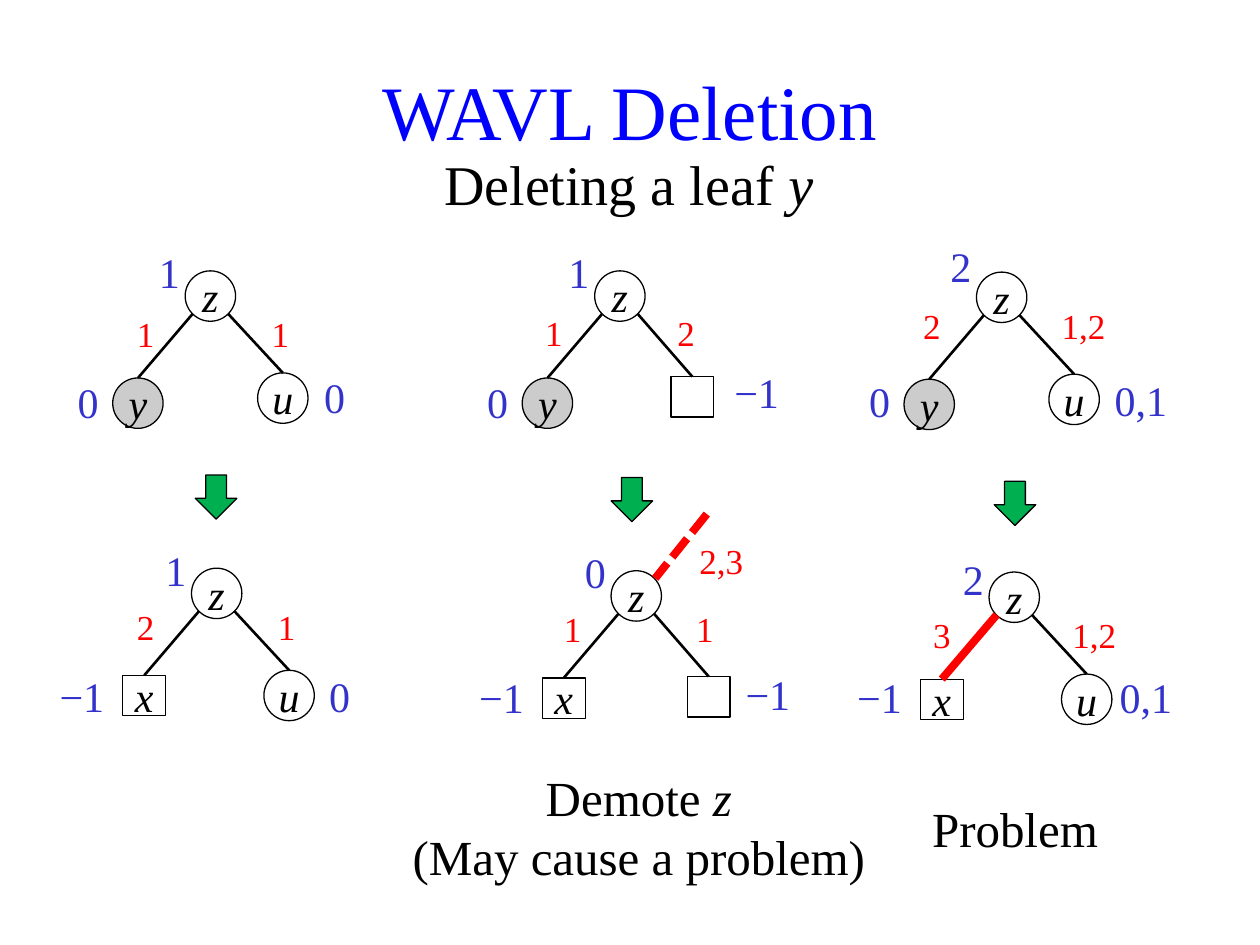
from dataclasses import dataclass

from lxml import etree
from pptx import Presentation
from pptx import util as u
from pptx.dml.color import RGBColor
from pptx.enum import dml, shapes, text
from pptx.oxml.ns import qn

FONT = "Times New Roman"
COLORS = {"title": "0000FF", "ink": "000000", "rank": "3333CC",
          "weight": "FF0000", "deleted": "CCCCCC", "arrow": "00B050"}
COLUMNS, ROWS = 100, 75
CIRCLE, SQUARE = (4, 4), (3.4, 3.2)

# Leaf name: drop below the root's centre, size, fill
LEAVES = {"y": (8.5, CIRCLE, "deleted"), "u": (8.1, CIRCLE, None),
          "x": (8.1, SQUARE, None), "": (8.0, SQUARE, None)}


@dataclass
class Tree:
    """A root z with two leaves; each pair is (left, right).

    Spreads, drops and the rise place the labels, seen from the root's centre.
    """
    root: tuple
    rank: str
    leaves: tuple
    ranks: tuple
    weights: tuple
    weight_spread: tuple
    rank_spread: tuple
    rank_drops: tuple
    rank_rise: float = 4.4
    weight_drop: float = 0.6
    rank_height: float = 6.1
    broken: bool = False


TREES = [
    Tree((16.7, 23.5), "1", ("y", "u"), ("0", "0"), ("1", "1"),
         (5.15, 5.55), (9.7, 9.85), (5.9, 5.5), weight_drop=0.8),
    Tree((49.2, 23.5), "1", ("y", ""), ("0", "−1"), ("1", "2"),
         (5.25, 5.25), (9.7, 10.85), (5.9, 5.1), weight_drop=0.7),
    Tree((79.5, 23.6), "2", ("y", "u"), ("0", "0,1"), ("2", "1,2"),
         (5.55, 6.5), (9.7, 11.05), (5.7, 5.6), rank_rise=5, weight_drop=0.1),
    Tree((17.2, 47.1), "1", ("x", "u"), ("−1", "0"), ("2", "1"),
         (5.65, 5.55), (10.7, 9.75), (5.6, 5.6), weight_drop=0.5,
         rank_height=5),
    Tree((50.5, 47.3), "0", ("x", ""), ("−1", "−1"), ("1", "1"),
         (5.05, 5.45), (10.7, 10.45), (5.5, 5.3), weight_drop=0.4,
         rank_height=5),
    Tree((80.5, 47.4), "2", ("x", "u"), ("−1", "0,1"), ("3", "1,2"),
         (5.75, 6.35), (10.7, 10.45), (5.4, 5.4), rank_rise=4,
         weight_drop=0.8, rank_height=5, broken=True),
]
ARROWS = [(17.15, 39.45), (50.15, 39.65), (80.55, 39.95)]


def assign(target, values):
    for name, value in values.items():
        setattr(target, name, value)


def color(name):
    return RGBColor.from_string(COLORS[name])


class Page:
    def __init__(self, deck):
        self.slide = deck.slides.add_slide(deck.slide_layouts[5])
        self.column = deck.slide_width / COLUMNS
        self.row = deck.slide_height / ROWS

    def place(self, *lengths):
        """Turn alternating columns and rows into slide lengths."""
        return [u.Emu(round(length * unit)) for length, unit in
                zip(lengths, (self.column, self.row) * 2)]

    def fill_text(self, frame, spans, size, ink, anchor="TOP", **margins):
        """Fill a frame with one centred paragraph of (text, italic) spans."""
        assign(frame, {"word_wrap": True, "auto_size": text.MSO_AUTO_SIZE.NONE,
                       "vertical_anchor": text.MSO_ANCHOR[anchor], **margins})
        para = frame.paragraphs[0]
        para.alignment = text.PP_ALIGN.CENTER
        for words, italic in spans:
            if words == "\n":
                para.add_line_break()
                continue
            span = para.add_run()
            span.text = words
            assign(span.font, {"name": FONT, "size": u.Pt(size),
                               "italic": italic})
            span.font.color.rgb = color(ink)

    def title(self, words, *area):
        box = self.slide.shapes.title
        assign(box, dict(zip(("left", "top", "width", "height"),
                             self.place(*area))))
        self.fill_text(box.text_frame, [(words, False)], 44, "title", "MIDDLE")

    def caption(self, spans, size, *area, ink="ink"):
        box = self.slide.shapes.add_textbox(*self.place(*area))
        self.fill_text(box.text_frame, spans, size, ink)

    def label(self, words, x, top, height, ink, size):
        """Place a short label centred on column x."""
        width = 5.1 if len(words) == 1 else 8
        self.caption([(words, False)], size, x - width / 2, top, width, height,
                     ink=ink)

    def shape(self, kind, x, y, size, fill=None):
        """Draw an outlined preset shape centred on (x, y)."""
        width, height = size
        form = self.slide.shapes.add_shape(
            kind, *self.place(x - width / 2, y - height / 2, width, height))
        form.shadow.inherit = False
        if fill:
            form.fill.solid()
            form.fill.fore_color.rgb = color(fill)
        else:
            form.fill.background()
        form.line.color.rgb = color("ink")
        form.line.width = u.Pt(0.75)
        return form

    def node(self, name, x, y, size, fill=None):
        preset = shapes.MSO_SHAPE
        kind = preset.OVAL if size == CIRCLE else preset.RECTANGLE
        form = self.shape(kind, x, y, size, fill)
        if name:
            self.fill_text(form.text_frame, [(name, True)], 24, "ink", "MIDDLE",
                           margin_left=0, margin_right=0, margin_top=0,
                           margin_bottom=0)

    def arrow(self, x, y):
        form = self.shape(shapes.MSO_SHAPE.RIGHT_ARROW, x, y, (3.5, 3.3),
                          "arrow")
        form.rotation = 90

    def edge(self, start, end, marked=False, dash=None):
        line = self.slide.shapes.add_connector(
            shapes.MSO_CONNECTOR.STRAIGHT, *self.place(*start, *end))
        line.line.color.rgb = color("weight" if marked else "ink")
        line.line.width = u.Pt(4.5 if marked else 1.5)
        if dash:
            line.line.dash_style = dash
        etree.SubElement(line._element.spPr, qn("a:effectLst"))

    def tree(self, tree):
        x, y = tree.root
        self.node("z", x, y, CIRCLE)
        self.label(tree.rank, x - 3.25, y - tree.rank_rise, 6.1, "rank", 24)
        for index, side in enumerate((-1, 1)):
            name = tree.leaves[index]
            drop, size, fill = LEAVES[name]
            leaf_x, leaf_y = x + 5.75 * side, y + drop
            self.node(name, leaf_x, leaf_y, size, fill)
            self.edge((x + 1.4 * side, y + 1.4), (leaf_x, leaf_y - size[1] / 2),
                      marked=tree.broken and side < 0)
            self.label(tree.weights[index], x + side * tree.weight_spread[index],
                       y + tree.weight_drop, 5.3, "weight", 20)
            self.label(tree.ranks[index], x + side * tree.rank_spread[index],
                       y + tree.rank_drops[index], tree.rank_height, "rank", 24)


def main():
    deck = Presentation()
    deck.slide_width, deck.slide_height = u.Inches(10), u.Inches(7.5)
    page = Page(deck)
    page.title("WAVL Deletion", 0, 3.6, COLUMNS, 10.2)
    page.caption([("Deleting a leaf ", False), ("y", True)], 32,
                 -0.1, 11.4, COLUMNS, 6.4)
    for tree in TREES:
        page.tree(tree)
    for center in ARROWS:
        page.arrow(*center)
    page.edge((56.1, 40.8), (52, 45.9), marked=True,
              dash=dml.MSO_LINE.SQUARE_DOT)
    page.label("2,3", 57.25, 42.3, 4.4, "weight", 20)
    page.caption([("Demote ", False), ("z", True), ("\n", False),
                  ("(May cause a problem)", False)], 28, 31.2, 60.4, 39, 10.4)
    page.caption([("Problem", False)], 28, 69.1, 62.9, 22.9, 5.7)
    deck.save("out.pptx")


if __name__ == "__main__":
    main()
